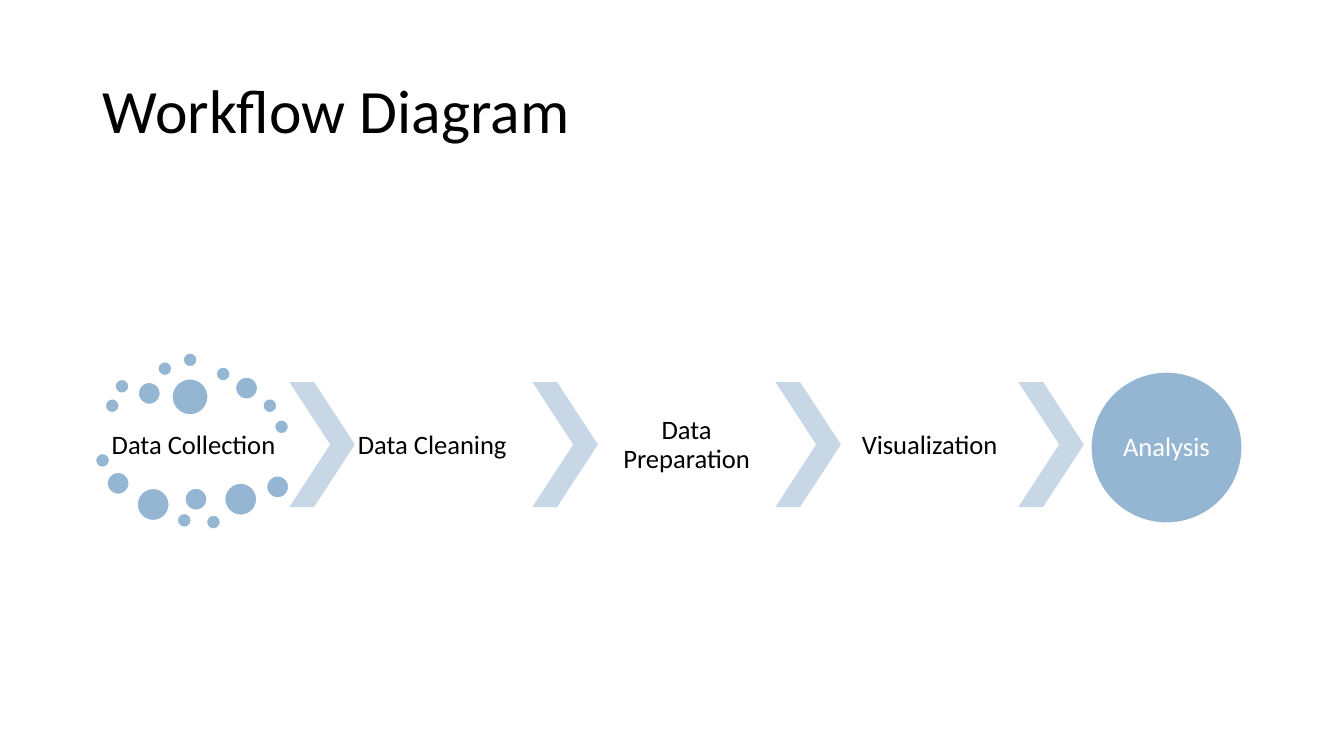
import pptx
import pptx.util
import pptx.dml.color
import pptx.enum.shapes
import pptx.enum.text

Inches = pptx.util.Inches
Pt = pptx.util.Pt
SHAPE = pptx.enum.shapes.MSO_SHAPE
ALIGN = pptx.enum.text.PP_ALIGN
MIDDLE = pptx.enum.text.MSO_ANCHOR.MIDDLE

COLORS = {"black": "000000", "white": "FFFFFF", "blue": "94B6D2", "pale": "C8D7E5"}
FONT = "Calibri"
WIDTH, HEIGHT = 13.33, 7.5

# Columns of the workflow: the dot cloud, then arrow and label by turns
CLOUD_W, ARROW_W, LABEL_W = 1.93, 0.65, 1.76
CLOUD_H, ARROW_H = 1.75, 1.24
INSET = 0.03
STEPS = [
    ("Data Cleaning", ALIGN.LEFT),
    ("Data Preparation", ALIGN.CENTER),
    ("Visualization", ALIGN.CENTER),
]

# Dot centres as shares of the cloud's box, by diameter in inches
DOTS = {
    0.14: [(0.09, 0.30), (0.14, 0.19), (0.36, 0.09), (0.49, 0.04), (0.66, 0.12),
           (0.90, 0.30), (0.96, 0.42), (0.04, 0.61), (0.46, 0.95), (0.61, 0.96)],
    0.22: [(0.28, 0.23), (0.78, 0.20), (0.12, 0.74), (0.52, 0.83), (0.94, 0.76)],
    0.32: [(0.30, 0.86), (0.75, 0.83)],
    0.36: [(0.49, 0.25)],
}


def rgb(name):
    return pptx.dml.color.RGBColor.from_string(COLORS[name])


def style_text(frame, text, size, color, align):
    frame.text = text
    frame.word_wrap = True
    frame.vertical_anchor = MIDDLE
    para = frame.paragraphs[0]
    para.alignment = align
    para.line_spacing = 0.9
    font = para.runs[0].font
    font.name, font.size = FONT, Pt(size)
    font.color.rgb = rgb(color)


def add_title(page, left, top, width, height):
    title = page.shapes.title
    title.left, title.top = Inches(left), Inches(top)
    title.width, title.height = Inches(width), Inches(height)
    style_text(title.text_frame, "Workflow Diagram", 44, "black", ALIGN.LEFT)


def add_label(shapes, text, box, color="black", align=ALIGN.CENTER, inset=INSET):
    frame = shapes.add_textbox(*map(Inches, box)).text_frame
    frame.margin_left = frame.margin_right = Inches(inset)
    frame.margin_top = frame.margin_bottom = Inches(inset)
    style_text(frame, text, 19, color, align)


def add_circle(shapes, center_x, center_y, diameter):
    radius = diameter / 2
    circle = shapes.add_shape(
        SHAPE.OVAL, Inches(center_x - radius), Inches(center_y - radius),
        Inches(diameter), Inches(diameter))
    circle.shadow.inherit = False
    circle.fill.solid()
    circle.fill.fore_color.rgb = rgb("blue")
    circle.line.color.rgb = rgb("white")
    circle.line.width = Pt(1)


def add_arrow(shapes, left, top, width, height):
    arrow = shapes.add_shape(SHAPE.CHEVRON, *map(Inches, (left, top, width, height)))
    arrow.adjustments[0] = 0.623
    arrow.shadow.inherit = False
    arrow.fill.solid()
    arrow.fill.fore_color.rgb = rgb("pale")
    arrow.line.fill.background()


def add_cloud(shapes, left, top, width, height):
    add_label(shapes, "Data Collection",
              (left + 0.1, top + 0.36 * height, LABEL_W, height / 3))
    for diameter, centers in DOTS.items():
        for x, y in centers:
            add_circle(shapes, left + x * width, top + y * height, diameter)


def add_workflow(page, left, top):
    shapes = page.shapes.add_group_shape().shapes
    add_cloud(shapes, left, top, CLOUD_W, CLOUD_H)
    row_top = top + 0.29
    pitch = ARROW_W + LABEL_W
    arrows_left = left + CLOUD_W
    for column in range(len(STEPS) + 1):
        add_arrow(shapes, arrows_left + column * pitch, row_top, ARROW_W, ARROW_H)
    for column, (text, align) in enumerate(STEPS):
        label_left = arrows_left + ARROW_W + column * pitch
        add_label(shapes, text, (label_left, row_top + 0.01, LABEL_W, ARROW_H),
                  align=align)
    goal_x = arrows_left + len(STEPS) * pitch + ARROW_W + 0.82
    goal_y = top + 0.94
    goal_size, text_size = 1.5, 1.06
    add_circle(shapes, goal_x, goal_y, goal_size)
    add_label(shapes, "Analysis",
              (goal_x - text_size / 2, goal_y - text_size / 2, text_size, text_size),
              color="white", inset=0)


def main():
    deck = pptx.Presentation()
    deck.slide_width, deck.slide_height = Inches(WIDTH), Inches(HEIGHT)
    page = deck.slides.add_slide(deck.slide_layouts.get_by_name("Title Only"))
    add_title(page, 0.92, 0.4, 11.5, 1.45)
    add_workflow(page, 0.94, 3.5)
    deck.save("out.pptx")


if __name__ == "__main__":
    main()
